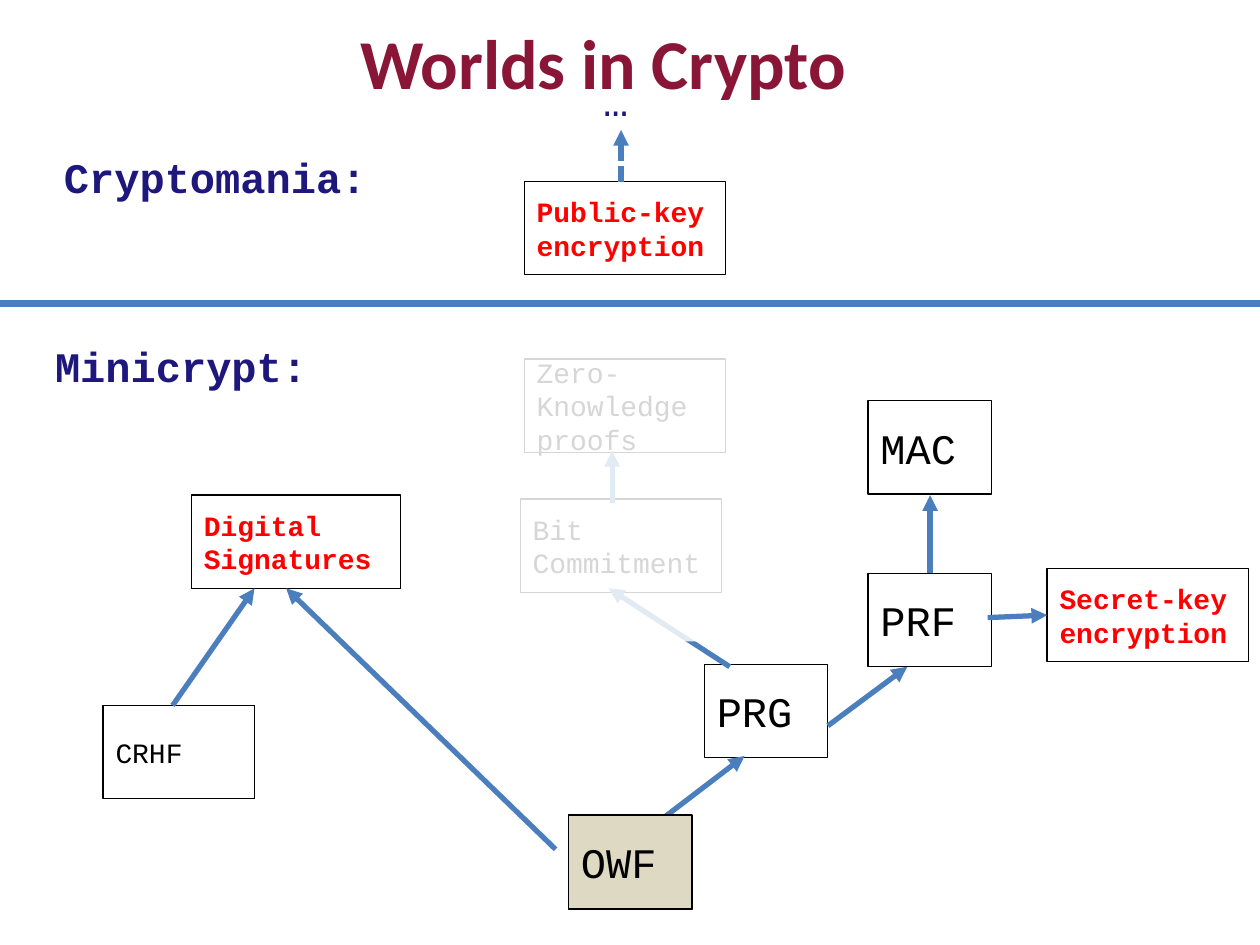
from typing import NamedTuple, Optional

import pptx
import pptx.dml.color
import pptx.enum.dml
import pptx.enum.shapes
import pptx.enum.text
import pptx.oxml
import pptx.oxml.ns
import pptx.util
from pptx.util import Cm

MONO = "Courier New"
BLACK, RED, NAVY, BLUE = "000000", "FF0000", "1E177C", "4B7EBC"
SMALL, WIDE, BOX_HEIGHT = 2.49, 4.06, 1.88


class Primitive(NamedTuple):
    name: str
    left: float
    top: float
    width: float = SMALL
    size: int = 24
    color: str = BLACK
    bold: bool = False
    fill: Optional[str] = None


class Implication(NamedTuple):
    start: tuple[float, float]
    end: tuple[float, float]
    dashed: bool = False
    width: float = 3
    arrow: bool = True


class Label(NamedTuple):
    name: str
    left: float
    top: float
    width: float
    bold: bool = True


PRIMITIVES = [
    Primitive("OWF", 11.46, 16.46),
    Primitive("PRG", 14.2, 13.39),
    Primitive("PRF", 17.5, 11.56),
    Primitive("MAC", 17.5, 8.08),
    Primitive("CRHF", 2.08, 14.22, 3.05, 16),
    Primitive("Bit Commitment", 10.49, 10.06, WIDE, 16),
    Primitive("Zero-Knowledge proofs", 10.57, 7.24, WIDE, 16),
    Primitive("Secret-key encryption", 21.11, 11.46, WIDE, 16, RED, True),
    Primitive("Digital Signatures", 3.86, 9.98, 4.22, 16, RED, True),
    Primitive("Public-key encryption", 10.57, 3.66, WIDE, 16, RED, True),
]
FOUNDATION = Primitive("OWF", 11.46, 16.43, fill="DDD9C3")
IMPLICATIONS = [
    Implication((13.41, 16.46), (15.01, 15.24)),
    Implication((16.69, 14.63), (18.29, 13.44)),
    Implication((11.2, 17.12), (5.77, 11.86)),
    Implication((18.75, 11.56), (18.75, 9.98)),
    Implication((14.71, 13.44), (12.27, 11.86)),
    Implication((12.34, 10.13), (12.34, 9.09)),
    Implication((19.91, 12.45), (21.11, 12.4)),
    Implication((3.48, 14.22), (5.13, 11.86)),
    Implication((12.52, 3.66), (12.52, 2.62), dashed=True),
]
DIVIDER = Implication((0, 6.12), (25.4, 6.12), width=4, arrow=False)
LABELS = [
    Label("…", 11.91, 1.32, 2.08, bold=False),
    Label("Minicrypt:", 0.86, 6.68, 7.98),
    Label("Cryptomania:", 1.04, 2.87, 7.98),
]


def paint(color_format, color: str) -> None:
    color_format.rgb = pptx.dml.color.RGBColor.from_string(color)


def write(frame, text: str, size: int, color: str, bold: bool, family: str = MONO,
          align=pptx.enum.text.PP_ALIGN.LEFT) -> None:
    frame.text = text
    frame.word_wrap = True
    frame.auto_size = pptx.enum.text.MSO_AUTO_SIZE.NONE
    frame.vertical_anchor = pptx.enum.text.MSO_ANCHOR.MIDDLE
    paragraph = frame.paragraphs[0]
    paragraph.alignment = align
    font = paragraph.runs[0].font
    font.name, font.size, font.bold = family, pptx.util.Pt(size), bold
    paint(font.color, color)


def draw_rectangle(slide, left: float, top: float, width: float, height: float,
                   fill: Optional[str] = None):
    rectangle = slide.shapes.add_shape(
        pptx.enum.shapes.MSO_SHAPE.RECTANGLE, Cm(left), Cm(top), Cm(width), Cm(height))
    rectangle.shadow.inherit = False
    if fill:
        rectangle.fill.solid()
        paint(rectangle.fill.fore_color, fill)
    else:
        rectangle.fill.background()
    return rectangle


def draw_primitive(slide, primitive: Primitive) -> None:
    box = draw_rectangle(slide, primitive.left, primitive.top, primitive.width,
                         BOX_HEIGHT, primitive.fill)
    paint(box.line.color, BLACK)
    box.line.width = pptx.util.Pt(0.75)
    write(box.text_frame, primitive.name, primitive.size, primitive.color, primitive.bold)


def draw_implication(slide, implication: Implication) -> None:
    ends = [Cm(value) for value in implication.start + implication.end]
    connector = slide.shapes.add_connector(
        pptx.enum.shapes.MSO_CONNECTOR.STRAIGHT, *ends)
    paint(connector.line.color, BLUE)
    connector.line.width = pptx.util.Pt(implication.width)
    if implication.dashed:
        connector.line.dash_style = pptx.enum.dml.MSO_LINE.SQUARE_DOT
    if implication.arrow:
        head = pptx.oxml.parse_xml(
            f'<a:tailEnd {pptx.oxml.ns.nsdecls("a")} type="triangle"/>')
        connector.line._get_or_add_ln().append(head)
    connector._element.spPr.append(
        pptx.oxml.parse_xml(f'<a:effectLst {pptx.oxml.ns.nsdecls("a")}/>'))


def draw_label(slide, label: Label) -> None:
    box = slide.shapes.add_textbox(
        Cm(label.left), Cm(label.top), Cm(label.width), Cm(1.4))
    write(box.text_frame, label.name, 24, NAVY, label.bold)


def draw_veil(slide) -> None:
    veil = draw_rectangle(slide, 9.58, 6.68, 6.93, 6.25, "FFFFFF")
    veil.line.fill.background()
    color = veil._element.spPr.find(".//" + pptx.oxml.ns.qn("a:srgbClr"))
    color.append(pptx.oxml.parse_xml(
        f'<a:alpha {pptx.oxml.ns.nsdecls("a")} val="84000"/>'))


def main() -> None:
    deck = pptx.Presentation()
    deck.slide_width, deck.slide_height = Cm(25.4), Cm(19.05)
    slide = deck.slides.add_slide(deck.slide_layouts[5])

    title = slide.shapes.title
    title.left, title.top, title.width, title.height = Cm(0.05), Cm(0.13), Cm(24.21), Cm(2.21)
    write(title.text_frame, "Worlds in Crypto", 40, "891637", True, "Calibri",
          pptx.enum.text.PP_ALIGN.CENTER)

    for primitive in PRIMITIVES:
        draw_primitive(slide, primitive)
    for implication in IMPLICATIONS + [DIVIDER]:
        draw_implication(slide, implication)
    draw_primitive(slide, FOUNDATION)
    for label in LABELS:
        draw_label(slide, label)
    draw_veil(slide)

    deck.save("out.pptx")


if __name__ == "__main__":
    main()
